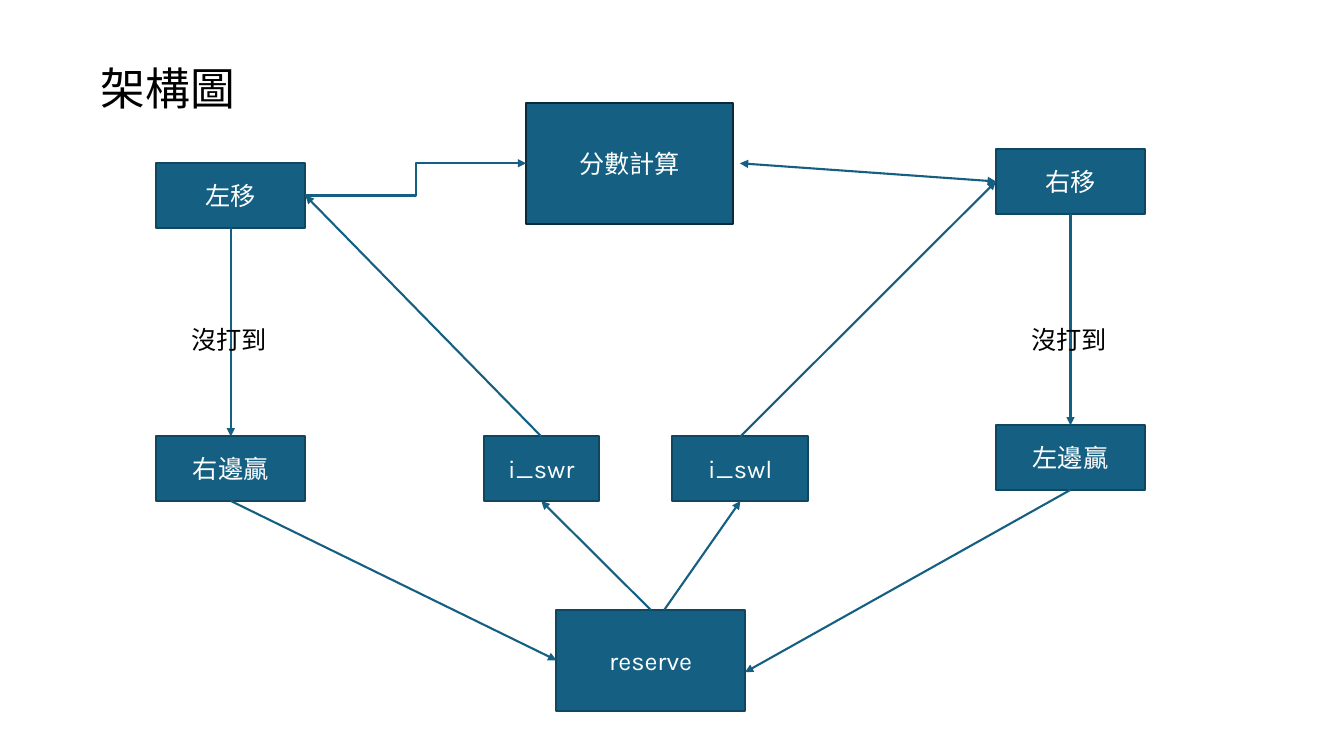
from dataclasses import dataclass

from lxml import etree
from pptx import Presentation, util as u
from pptx.dml.color import RGBColor
from pptx.enum import shapes, text
from pptx.oxml import ns

COLS, ROWS = 133.33, 75
TOP, LEFT, BOTTOM, RIGHT = range(4)


@dataclass(frozen=True)
class Theme:
    font: str = "Karla"
    ink: str = "000000"
    fill: str = "156082"
    edge: str = "104760"
    strong_edge: str = "092A39"
    on_fill: str = "FFFFFF"
    title: int = 32
    body: int = 18
    stroke: float = 1.5


T = Theme()
prs = Presentation()
prs.slide_width, prs.slide_height = u.Inches(13.33), u.Inches(7.5)


def rgb(color):
    return RGBColor.from_string(color)


def grid(*lengths):
    units = (prs.slide_width / COLS, prs.slide_height / ROWS)
    return [u.Emu(round(n * units[i % 2])) for i, n in enumerate(lengths)]


def write(sp, words, size, color):
    p = sp.text_frame.paragraphs[0]
    p.text = words
    for r in p.runs:
        r.font.name, r.font.size = T.font, u.Pt(size)
        r.font.color.rgb = rgb(color)
    return p


def label(s, box, words, size=T.body):
    sp = s.shapes.add_textbox(*grid(*box))
    sp.text_frame.word_wrap = False
    sp.text_frame.auto_size = text.MSO_AUTO_SIZE.SHAPE_TO_FIT_TEXT
    write(sp, words, size, T.ink)


def node(s, box, words, edge=T.edge):
    sp = s.shapes.add_shape(shapes.MSO_SHAPE.RECTANGLE, *grid(*box))
    sp.shadow.inherit = False
    sp.fill.solid()
    sp.fill.fore_color.rgb = rgb(T.fill)
    sp.line.color.rgb = rgb(edge)
    sp.line.width = u.Pt(T.stroke)
    sp.text_frame.vertical_anchor = text.MSO_ANCHOR.MIDDLE
    write(sp, words, T.body, T.on_fill).alignment = text.PP_ALIGN.CENTER
    return sp


def arrow(s, start, end, kind=shapes.MSO_CONNECTOR.STRAIGHT, both=False):
    points = [(0, 0) if hasattr(e[0], "shape_id") else grid(*e) for e in (start, end)]
    c = s.shapes.add_connector(kind, *points[0], *points[1])
    for e, connect in ((start, c.begin_connect), (end, c.end_connect)):
        if hasattr(e[0], "shape_id"):
            connect(*e)
    c.line.color.rgb = rgb(T.fill)
    c.line.width = u.Pt(T.stroke)
    ln = c.line._get_or_add_ln()
    for tag in ("a:headEnd", "a:tailEnd") if both else ("a:tailEnd",):
        etree.SubElement(ln, ns.qn(tag), type="triangle")
    etree.SubElement(c._element.spPr, ns.qn("a:effectLst"))


def side(s, box, move, win, label_row):
    x, y, w, h = box
    node_h = 6.4
    mover = node(s, (x, y, w, node_h), move)
    winner = node(s, (x, y + h - node_h, w, node_h), win)
    arrow(s, (mover, BOTTOM), (winner, TOP))
    label(s, (x + 2.5, label_row, 9.6, 4), "沒打到")
    return mover, winner


def serve(s, box):
    x, y, w, h = box
    hub_x, hub_y, hub_w, hub_h = x + 7.2, y + h - 10, 18.7, 10
    reserve = node(s, (hub_x, hub_y, hub_w, hub_h), "reserve")
    swr = node(s, (x, y, 11.4, 6.4), "i_swr")
    swl = node(s, (x + w - 13.5, y, 13.5, 6.4), "i_swl")
    arrow(s, (reserve, TOP), (swr, BOTTOM))
    arrow(s, (hub_x + 10.7, hub_y), (swl, BOTTOM))
    return reserve, swr, swl, (hub_x + hub_w, hub_y + 6.2)


def structure_slide():
    s = prs.slides.add_slide(prs.slide_layouts[6])
    label(s, (9, 5.5, 15.5, 6.4), "架構圖", T.title)
    score_box = x, y, w, h = 52.2, 10.2, 20.5, 12
    score = node(s, score_box, "分數計算", T.strong_edge)
    left, right_wins = side(s, (15.5, 16.2, 14.8, 33.5), "左移", "右邊贏", 31.7)
    right, left_wins = side(s, (98.8, 14.8, 14.8, 33.8), "右移", "左邊贏", 31.7)
    reserve, swr, swl, reserve_right = serve(s, (48, 43.3, 32.2, 27.2))
    arrow(s, (right_wins, BOTTOM), (reserve, LEFT))
    arrow(s, (left_wins, BOTTOM), reserve_right)
    arrow(s, (swl, TOP), (right, LEFT))
    arrow(s, (swr, TOP), (left, RIGHT))
    arrow(s, (left, RIGHT), (score, LEFT), shapes.MSO_CONNECTOR.ELBOW)
    arrow(s, (x + w + 0.7, y + h / 2), (right, LEFT), both=True)


if __name__ == "__main__":
    structure_slide()
    prs.save("out.pptx")
